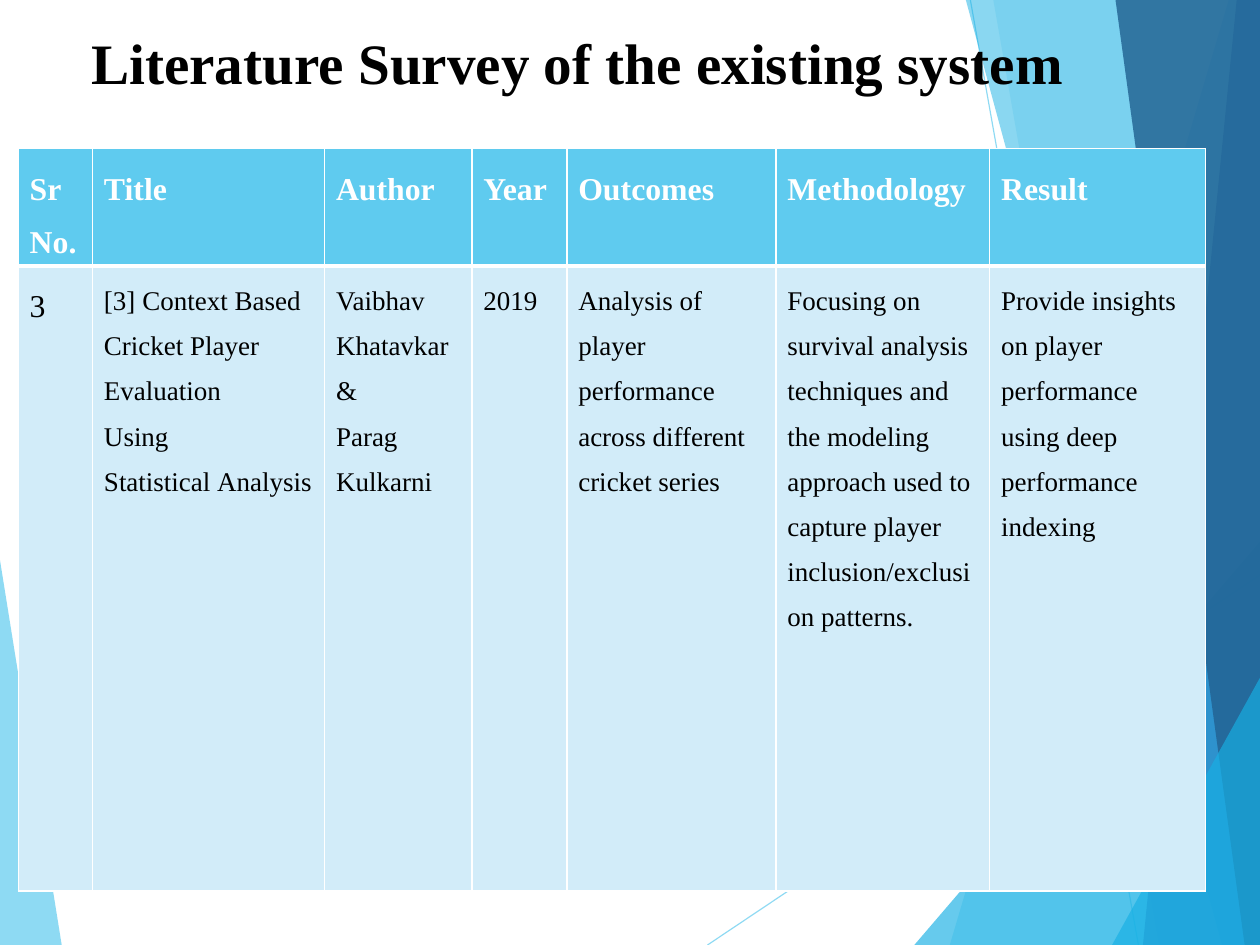
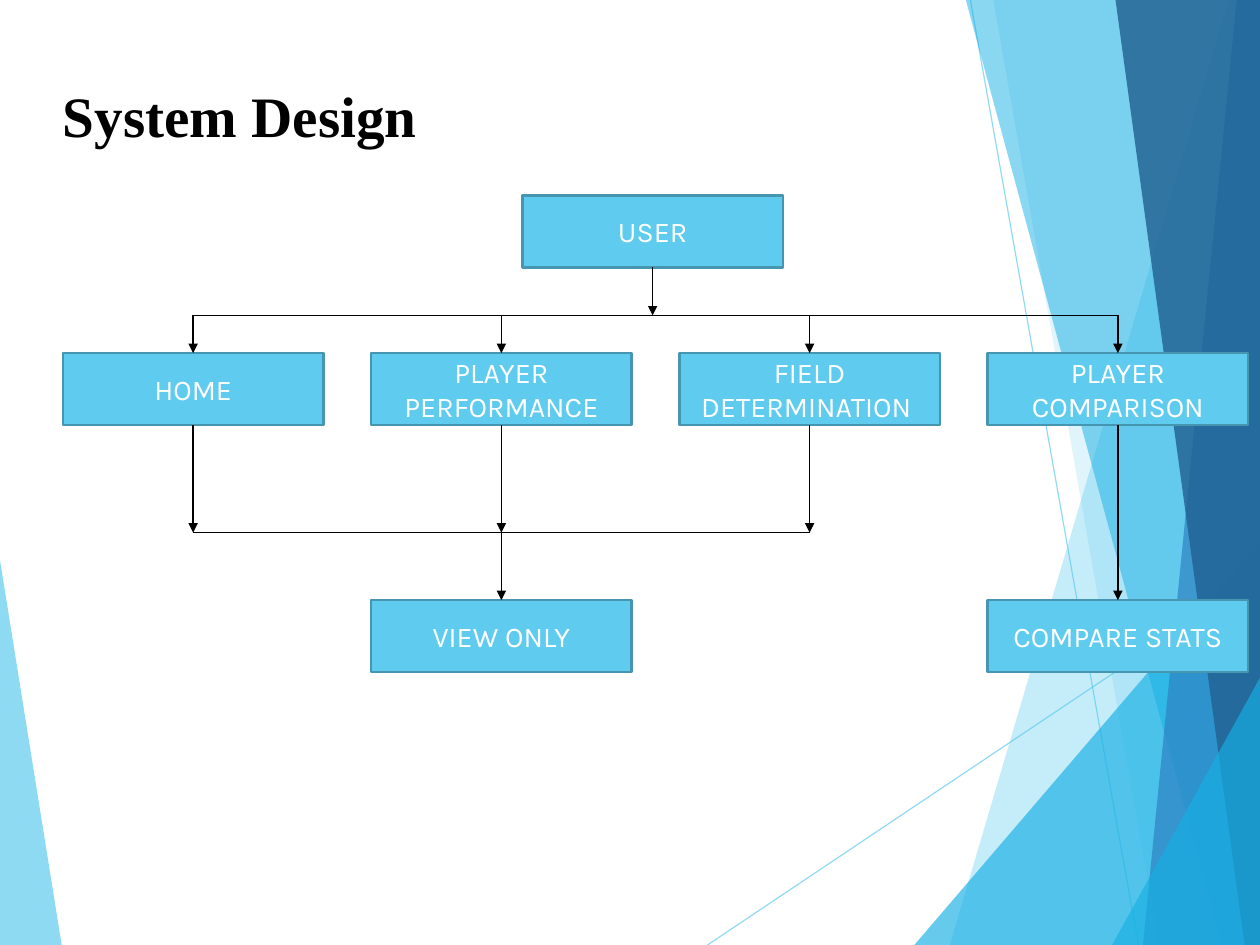
import pptx
import pptx.util
import pptx.dml.color
import pptx.enum.shapes
import pptx.enum.text
import pptx.oxml.ns
from dataclasses import dataclass

Inches = pptx.util.Inches
Pt = pptx.util.Pt
qn = pptx.oxml.ns.qn
PP_ALIGN = pptx.enum.text.PP_ALIGN
ANCHOR = pptx.enum.text.MSO_ANCHOR


@dataclass(frozen=True)
class Theme:
    ink: str = "000000"
    paper: str = "FFFFFF"
    sky: str = "5FCBEF"
    azure: str = "17B0E4"
    blue: str = "2E83C3"
    navy: str = "226292"
    pale: str = "D2ECF9"
    box_edge: str = "4696B1"
    serif: str = "Times New Roman"
    sans: str = "Karla"
    title_size: float = 36
    header_size: float = 20
    body_size: float = 17
    box_size: float = 18
    rule: float = 1
    header_rule: float = 3
    box_rule: float = 1.5
    hairline: float = 0.75


THEME = Theme()
WIDTH, HEIGHT = 28 / 2.54, 21 / 2.54  # 28 by 21 cm, in inches
HARD_SPACE = chr(160)  # keeps two words on one line

# Background: hairlines, then facets as (corners, colour, opacity %)
WEDGE = ([(0, 4.9), (0.54, HEIGHT), (0, HEIGHT)], THEME.sky, 70)
HAIRLINES = [((6.19, HEIGHT), (WIDTH, 5.03)), ((8.49, 0), (9.96, HEIGHT))]
HAIRLINE_OPACITY = 70
FACETS = [
    ([(10.75, 0), (8.31, HEIGHT), (WIDTH, HEIGHT), (WIDTH, 0)], THEME.sky, 36),
    ([(8.69, 0), (10.14, HEIGHT), (WIDTH, HEIGHT), (WIDTH, 0)], THEME.sky, 20),
    ([(8, HEIGHT), (WIDTH, 4.74), (WIDTH, HEIGHT)], THEME.azure, 66),
    ([(8.45, 0), (10.69, HEIGHT), (WIDTH, HEIGHT), (WIDTH, 0)], THEME.azure, 50),
    ([(10.82, 0), (10, HEIGHT), (WIDTH, HEIGHT), (WIDTH, 0)], THEME.blue, 70),
    ([(9.76, 0), (10.89, HEIGHT), (WIDTH, HEIGHT), (WIDTH, 0)], THEME.navy, 82),
    ([(9.73, HEIGHT), (WIDTH, 5.93), (WIDTH, HEIGHT)], THEME.azure, 66),
]

# Title text, box, left inset
SURVEY_TITLE = ("Literature Survey of the existing system", (0.55, 0.15, 9.92, 0.81), 0.25)
SURVEY_AT = (0.16, 1.3)
SURVEY_ROWS = [0.98, 5.47]
# Column width, heading, entry paragraphs
SURVEY = [
    (0.65, "Sr No.", ["3"]),
    (2.03, "Title", ["[3] Context Based Cricket Player Evaluation",
                     f"Using Statistical{HARD_SPACE}Analysis"]),
    (1.29, "Author", ["Vaibhav Khatavkar", "&", "Parag Kulkarni"]),
    (0.83, "Year", ["2019"]),
    (1.83, "Outcomes", ["Analysis of player performance across different cricket series"]),
    (1.87, "Methodology", ["Focusing on survival analysis techniques and the modeling "
                           "approach used to capture player inclusion/exclusion patterns."]),
    (1.89, "Result", ["Provide insights on player performance using deep "
                      "performance indexing"]),
]

DESIGN_TITLE = ("System Design", (0.55, 0.33, 9.92, 1.38), 0)
MODULES = ["HOME", "PLAYER PERFORMANCE", "FIELD DETERMINATION ", "PLAYER COMPARISON"]
BOX_W, BOX_H = 2.28, 0.63
FIRST_LEFT, LAST_LEFT = 0.55, 8.64
USER_LEFT, USER_TOP, MODULE_TOP, RESULT_TOP = 4.57, 1.71, 3.09, 5.25
UPPER_BUS, LOWER_BUS = 2.76, 4.66


def rgb(value):
    return pptx.dml.color.RGBColor.from_string(value)


def set_opacity(shape, percent):
    for colour in shape.element.iter(qn("a:srgbClr")):
        colour.append(colour.makeelement(qn("a:alpha"), {"val": str(percent * 1000)}))


def set_font(paragraph, size, colour, **values):
    paragraph.font.size = Pt(size)
    paragraph.font.color.rgb = rgb(colour)
    for name, value in values.items():
        setattr(paragraph.font, name, value)


def is_point(target):
    return isinstance(target[0], (int, float))


def add_line(slide, start, end, colour=THEME.ink, width=THEME.rule, arrow=False):
    """Join two ends; each is an (x, y) point or a (box, connection site) pair."""
    points = [target if is_point(target) else (0, 0) for target in (start, end)]
    line = slide.shapes.add_connector(
        pptx.enum.shapes.MSO_CONNECTOR.STRAIGHT,
        *[Inches(value) for point in points for value in point])
    for target, connect in ((start, line.begin_connect), (end, line.end_connect)):
        if not is_point(target):
            connect(*target)
    line.line.color.rgb = rgb(colour)
    line.line.width = Pt(width)
    properties = line.element.spPr
    if arrow:
        outline = properties.find(qn("a:ln"))
        outline.append(outline.makeelement(qn("a:tailEnd"), {"type": "triangle"}))
    properties.append(properties.makeelement(qn("a:effectLst"), {}))
    return line


def add_facet(slide, corners, colour, opacity):
    points = [(Inches(x), Inches(y)) for x, y in corners]
    builder = slide.shapes.build_freeform(*points[0])
    builder.add_line_segments(points[1:], close=True)
    facet = builder.convert_to_shape()
    facet.shadow.inherit = False
    facet.fill.solid()
    facet.fill.fore_color.rgb = rgb(colour)
    facet.line.fill.background()
    set_opacity(facet, opacity)
    return facet


def move_background_to_layout(slide):
    """Draw the facets once and let every slide of the layout inherit them."""
    parts = [add_facet(slide, *WEDGE)]
    for start, end in HAIRLINES:
        hairline = add_line(slide, start, end, THEME.sky, THEME.hairline)
        set_opacity(hairline, HAIRLINE_OPACITY)
        parts.append(hairline)
    parts += [add_facet(slide, *facet) for facet in FACETS]
    tree = slide.slide_layout.shapes.element
    for part in parts:
        tree.append(part.element)
    for number, item in enumerate(tree.iter(qn("p:cNvPr")), 1):
        item.set("id", str(number))


def set_title(slide, text, box, inset):
    title = slide.shapes.title
    title.left, title.top, title.width, title.height = map(Inches, box)
    frame = title.text_frame
    frame.text = text
    for name, value in {
        "margin_left": Inches(inset), "margin_right": 0, "margin_bottom": 0,
        "margin_top": Inches(0.03), "word_wrap": True,
        "vertical_anchor": ANCHOR.MIDDLE,
        "auto_size": pptx.enum.text.MSO_AUTO_SIZE.NONE,
    }.items():
        setattr(frame, name, value)
    heading = frame.paragraphs[0]
    heading.alignment = PP_ALIGN.LEFT
    heading.line_spacing = 0.93
    set_font(heading, THEME.title_size, THEME.ink, name=THEME.serif, bold=True)


def set_borders(cell, widths):
    properties = cell._tc.get_or_add_tcPr()
    for side, width in widths.items():
        border = properties.makeelement(qn(f"a:ln{side}"), {"w": str(Pt(width))})
        fill = border.makeelement(qn("a:solidFill"), {})
        fill.append(fill.makeelement(qn("a:srgbClr"), {"val": THEME.paper}))
        border.append(fill)
        properties.append(border)


def fill_cell(cell, paragraphs, fill, borders, size, colour, bold):
    set_borders(cell, borders)
    cell.fill.solid()
    cell.fill.fore_color.rgb = rgb(fill)
    cell.text = "\n".join(paragraphs)
    for paragraph in cell.text_frame.paragraphs:
        paragraph.line_spacing = 1.5
        set_font(paragraph, size, colour, name=THEME.serif, bold=bold)


def add_survey(slide):
    widths = [width for width, _, _ in SURVEY]
    table = slide.shapes.add_table(
        len(SURVEY_ROWS), len(SURVEY),
        *map(Inches, (*SURVEY_AT, sum(widths), sum(SURVEY_ROWS)))).table
    for row, height in zip(table.rows, SURVEY_ROWS):
        row.height = Inches(height)
    thin = dict.fromkeys("LRTB", THEME.rule)
    for index, (width, heading, entry) in enumerate(SURVEY):
        table.columns[index].width = Inches(width)
        fill_cell(table.cell(0, index), [heading], THEME.sky,
                  {**thin, "B": THEME.header_rule},
                  THEME.header_size, THEME.paper, True)
        fill_cell(table.cell(1, index), entry, THEME.pale,
                  {**thin, "T": THEME.header_rule},
                  THEME.body_size if index else THEME.header_size, THEME.ink, False)


def add_box(slide, label, left, top):
    box = slide.shapes.add_shape(pptx.enum.shapes.MSO_SHAPE.RECTANGLE,
                                 *map(Inches, (left, top, BOX_W, BOX_H)))
    box.shadow.inherit = False
    box.fill.solid()
    box.fill.fore_color.rgb = rgb(THEME.sky)
    box.line.color.rgb = rgb(THEME.box_edge)
    box.line.width = Pt(THEME.box_rule)
    frame = box.text_frame
    frame.text = label
    frame.word_wrap = True
    frame.vertical_anchor = ANCHOR.MIDDLE
    frame.paragraphs[0].alignment = PP_ALIGN.CENTER
    set_font(frame.paragraphs[0], THEME.box_size, THEME.paper, name=THEME.sans)
    return box


def add_flow(slide):
    top, bottom = 0, 2  # connection sites of a rectangle
    pitch = (LAST_LEFT - FIRST_LEFT) / (len(MODULES) - 1)
    lefts = [FIRST_LEFT + pitch * column for column in range(len(MODULES))]
    centres = [left + BOX_W / 2 for left in lefts]
    user = add_box(slide, "USER", USER_LEFT, USER_TOP)
    modules = [add_box(slide, label, left, MODULE_TOP) for label, left in zip(MODULES, lefts)]
    view_only = add_box(slide, "VIEW ONLY", lefts[1], RESULT_TOP)
    compare = add_box(slide, "COMPARE STATS", lefts[3], RESULT_TOP)

    add_line(slide, (centres[0], UPPER_BUS), (centres[-1], UPPER_BUS))
    add_line(slide, (centres[0], LOWER_BUS), (centres[2], LOWER_BUS))
    arrows = [((user, bottom), (USER_LEFT + BOX_W / 2, UPPER_BUS))]
    arrows += [((x, UPPER_BUS), (module, top)) for x, module in zip(centres, modules)]
    arrows += [((module, bottom), (x, LOWER_BUS)) for x, module in zip(centres[:3], modules)]
    arrows += [((centres[1], LOWER_BUS), (view_only, top)),
               ((modules[3], bottom), (compare, top))]
    for start, end in arrows:
        add_line(slide, start, end, arrow=True)


def main():
    deck = pptx.Presentation()
    deck.slide_width, deck.slide_height = Inches(WIDTH), Inches(HEIGHT)
    title_only = deck.slide_layouts[5]
    survey = deck.slides.add_slide(title_only)
    move_background_to_layout(survey)
    set_title(survey, *SURVEY_TITLE)
    add_survey(survey)
    design = deck.slides.add_slide(title_only)
    set_title(design, *DESIGN_TITLE)
    add_flow(design)
    deck.save("out.pptx")


if __name__ == "__main__":
    main()
